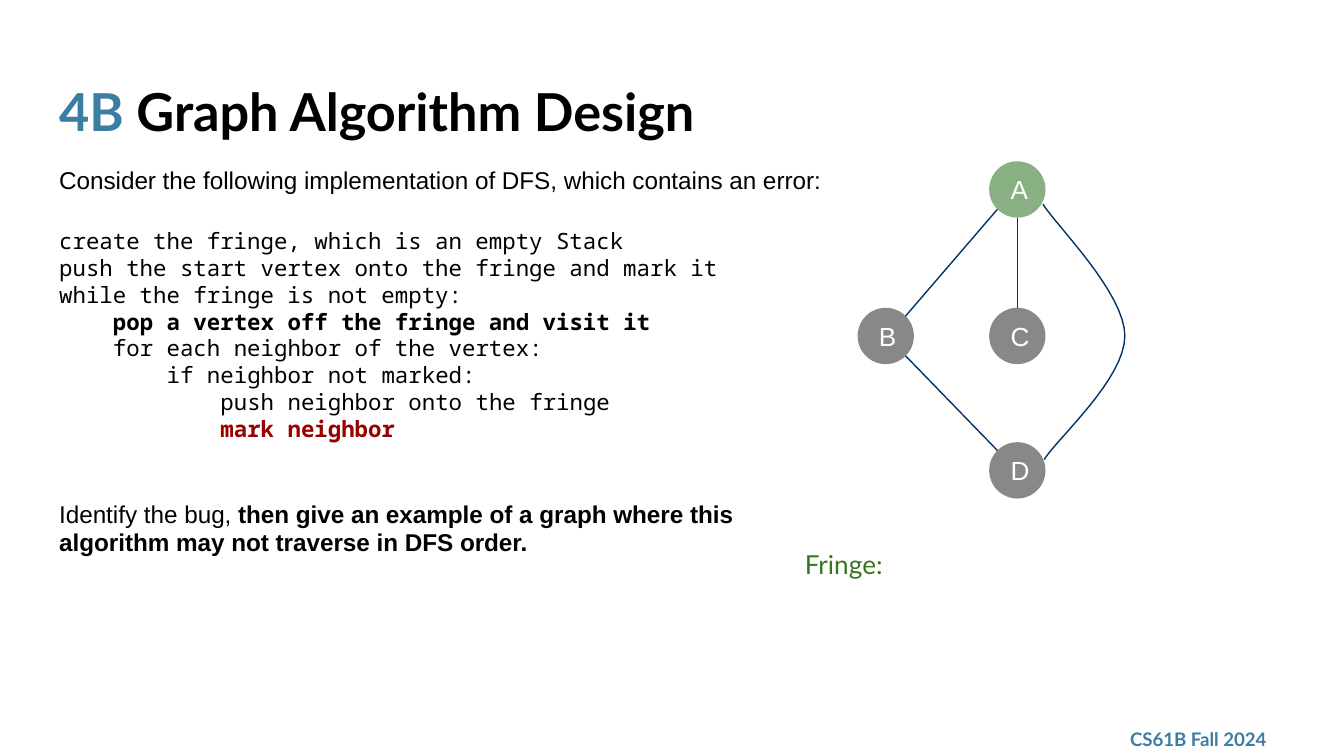
from lxml import etree
from pptx import Presentation
from pptx.dml.color import RGBColor
from pptx.enum.shapes import MSO_CONNECTOR, MSO_SHAPE
from pptx.enum.text import MSO_ANCHOR, MSO_AUTO_SIZE, PP_ALIGN
from pptx.oxml.ns import qn
from pptx.util import Pt

ELLIPSE, STRAIGHT = MSO_SHAPE.OVAL, MSO_CONNECTOR.STRAIGHT
TOP, MIDDLE = MSO_ANCHOR.TOP, MSO_ANCHOR.MIDDLE
LEFT, NO_FIT = PP_ALIGN.LEFT, MSO_AUTO_SIZE.NONE

BLUE, NAVY, BLACK, WHITE = "3B7EA1", "003262", "000000", "FFFFFF"
RED, GREEN, SAGE, GRAY = "990000", "38761D", "88B083", "888888"
SANS, HEADING, MONO = "Arial", "Lato", "Noto Sans Mono"

TITLE = [("4B", BLUE), (" Graph Algorithm Design", BLACK)]
INTRO = "Consider the following implementation of DFS, which contains an error:"
PSEUDOCODE = [
    (0, "create the fringe, which is an empty Stack", BLACK, False),
    (0, "push the start vertex onto the fringe and mark it", BLACK, False),
    (0, "while the fringe is not empty:", BLACK, False),
    (1, "pop a vertex off the fringe and visit it", BLACK, True),
    (1, "for each neighbor of the vertex:", BLACK, False),
    (2, "if neighbor not marked:", BLACK, False),
    (3, "push neighbor onto the fringe", BLACK, False),
    (3, "mark neighbor", RED, True),
]
TASK = [
    [("Identify the bug,", False), (" then give an example of a graph where this", True)],
    [("algorithm may not traverse in DFS order.", True)],
]
LABELS = [
    ("CS61B Fall 2024", (598.3, 386.6, 97.2, 18.7), 10, BLUE, True, MIDDLE),
    ("Fringe:", (424.1, 286.6, 278.6, 31.7), 14, GREEN, False, TOP),
]
VERTICES = {
    "A": (545, 101.5, SAGE),
    "C": (545, 180, GRAY),
    "B": (474.5, 180, GRAY),
    "D": (545, 252, GRAY),
}
EDGES = [("B", "A"), ("A", "C"), ("B", "D")]
OUTER_EDGE = [
    [(558.7, 109.4), (565.9, 121), (602.6, 157), (602.6, 180)],
    [(602.6, 180), (602.6, 203), (566.6, 234.7), (559.4, 246.2)],
]
RADIUS = 15.1
DIAGONAL = RADIUS * 0.5 ** 0.5
INDENT = 28.8
CURVE_STEPS = 16


def rgb(color):
    return RGBColor.from_string(color)


def place(shape, box):
    shape.left, shape.top, shape.width, shape.height = map(Pt, box)


def set_frame(shape, anchor=TOP):
    frame = shape.text_frame
    frame.word_wrap = True
    frame.auto_size = NO_FIT
    frame.vertical_anchor = anchor
    frame.margin_left = frame.margin_right = Pt(7.2)
    frame.margin_top = frame.margin_bottom = Pt(7.2)
    return frame


def add_run(paragraph, text, size, font, color, bold=False):
    run = paragraph.add_run()
    run.text = text
    run.font.size, run.font.name, run.font.bold = Pt(size), font, bold
    run.font.color.rgb = rgb(color)


def body_paragraph(frame, line_height, gap=0, level=0):
    paragraph = frame.paragraphs[0]
    if paragraph.runs:
        paragraph = frame.add_paragraph()
    paragraph.alignment = LEFT
    paragraph.line_spacing = Pt(line_height)
    paragraph.space_before, paragraph.space_after = Pt(gap), Pt(0)
    properties = paragraph._p.get_or_add_pPr()
    properties.set("marL", str(Pt(level * INDENT)))
    properties.set("indent", "0")
    etree.SubElement(properties, qn("a:buNone"))
    return paragraph


def style_line(shape):
    shape.line.color.rgb = rgb(NAVY)
    shape.line.width = Pt(0.75)


def sign(value):
    return (value > 0) - (value < 0)


def edge_ends(start, end):
    x1, y1, _ = VERTICES[start]
    x2, y2, _ = VERTICES[end]
    reach = RADIUS if x1 == x2 else DIAGONAL
    dx, dy = sign(x2 - x1) * reach, sign(y2 - y1) * reach
    return x1 + dx, y1 + dy, x2 - dx, y2 - dy


def bezier_point(controls, t):
    weights = ((1 - t) ** 3, 3 * t * (1 - t) ** 2, 3 * t * t * (1 - t), t ** 3)
    return tuple(Pt(sum(w * c for w, c in zip(weights, axis))) for axis in zip(*controls))


prs = Presentation()
prs.slide_width, prs.slide_height = Pt(720), Pt(405)
slide = prs.slides.add_slide(prs.slide_layouts[1])
title, body = slide.placeholders

place(title, (24.5, 35.3, 671, 45.4))
heading = set_frame(title).paragraphs[0]
heading.alignment = LEFT
for text, color in TITLE:
    add_run(heading, text, 28, HEADING, color, True)

place(body, (24.5, 81.4, 663.1, 243.4))
content = set_frame(body)
add_run(body_paragraph(content, 15.5), INTRO, 13, SANS, BLACK)
for row, (level, text, color, bold) in enumerate(PSEUDOCODE):
    line = body_paragraph(content, 14.4, 0 if row else 17.5, level)
    add_run(line, text, 12, MONO, color, bold)
for row, parts in enumerate(TASK):
    line = body_paragraph(content, 15.5, 0 if row else 30.5)
    for text, bold in parts:
        add_run(line, text, 13, SANS, BLACK, bold)

for text, box, size, color, bold, anchor in LABELS:
    label = slide.shapes.add_textbox(*map(Pt, box))
    add_run(set_frame(label, anchor).paragraphs[0], text, size, HEADING, color, bold)

for name, (x, y, color) in VERTICES.items():
    box = (x - RADIUS, y - RADIUS, 2 * RADIUS, 2 * RADIUS)
    vertex = slide.shapes.add_shape(ELLIPSE, *map(Pt, box))
    vertex.shadow.inherit = False
    vertex.fill.solid()
    vertex.fill.fore_color.rgb = rgb(color)
    vertex.line.fill.background()
    letter = set_frame(vertex, MIDDLE).paragraphs[0]
    letter.alignment = LEFT
    add_run(letter, name, 14, SANS, WHITE)

for start, end in EDGES:
    edge = slide.shapes.add_connector(STRAIGHT, *map(Pt, edge_ends(start, end)))
    style_line(edge)
    etree.SubElement(edge._element.spPr, qn("a:effectLst"))

curve = [bezier_point(controls, step / CURVE_STEPS)
         for controls in OUTER_EDGE for step in range(CURVE_STEPS + 1)]
builder = slide.shapes.build_freeform(*curve[0])
builder.add_line_segments(curve[1:], close=False)
outer_edge = builder.convert_to_shape()
outer_edge.shadow.inherit = False
outer_edge.fill.background()
style_line(outer_edge)

prs.save("out.pptx")
